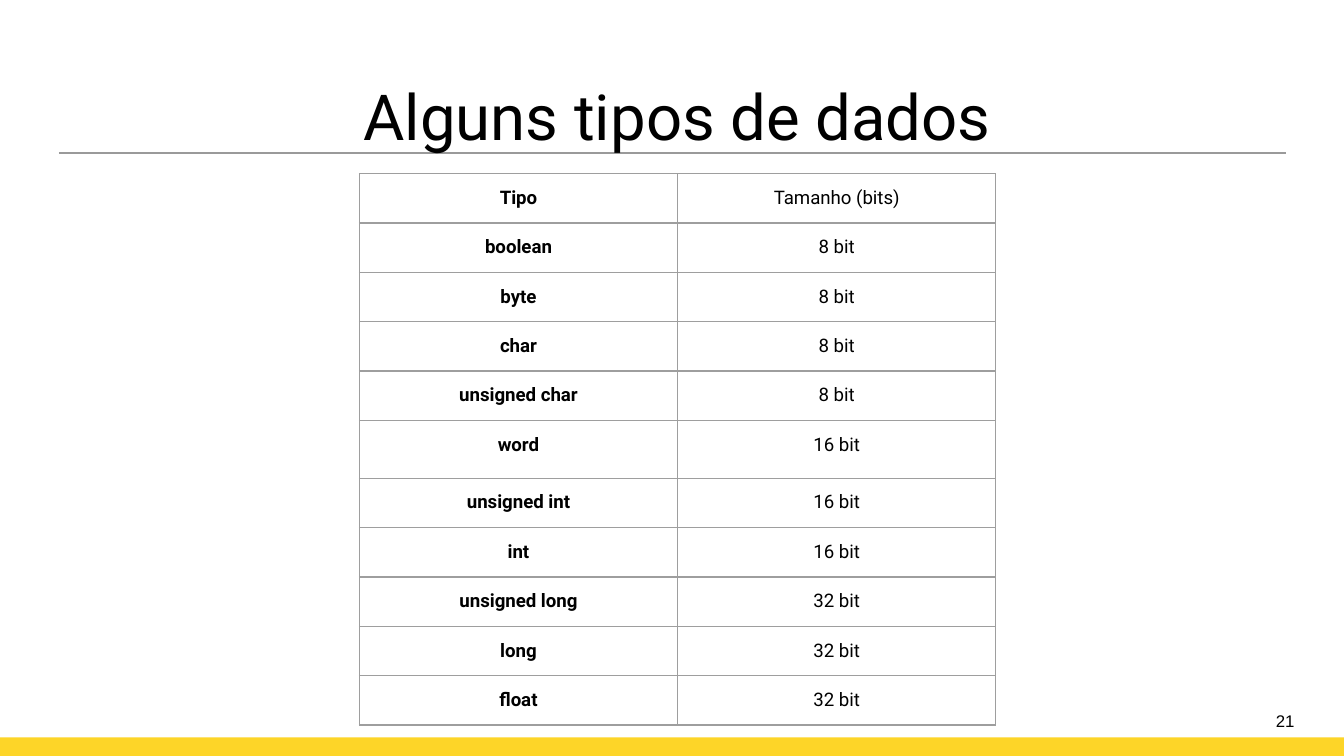
from lxml import etree
from pptx import Presentation
from pptx.dml.color import RGBColor
from pptx.enum.shapes import MSO_CONNECTOR, MSO_SHAPE
from pptx.enum.text import MSO_ANCHOR, PP_ALIGN
from pptx.oxml.ns import qn
from pptx.util import Pt

STRAIGHT = MSO_CONNECTOR.STRAIGHT
RECTANGLE = MSO_SHAPE.RECTANGLE
TOP, BOTTOM = MSO_ANCHOR.TOP, MSO_ANCHOR.BOTTOM
CENTER, RIGHT = PP_ALIGN.CENTER, PP_ALIGN.RIGHT

BLACK = RGBColor(0x00, 0x00, 0x00)
YELLOW = RGBColor(0xFD, 0xD5, 0x28)
RULE_GRAY = RGBColor(0x9A, 0x9A, 0x9A)
BORDER_GRAY = RGBColor(0x9E, 0x9E, 0x9E)

SLIDE_WIDTH, SLIDE_HEIGHT = 720, 405
ROW_HEIGHT, TALL_ROW_HEIGHT = 26, 31
TALL_TYPE = "word"
COLUMN_WIDTH = 170.5
CELL_MARGIN = 7.2
BORDER_WIDTH = 0.75

DATA_TYPES = [
    ("Tipo", "Tamanho (bits)"),
    ("boolean", "8 bit"),
    ("byte", "8 bit"),
    ("char", "8 bit"),
    ("unsigned char", "8 bit"),
    ("word", "16 bit"),
    ("unsigned int", "16 bit"),
    ("int", "16 bit"),
    ("unsigned long", "32 bit"),
    ("long", "32 bit"),
    ("float", "32 bit"),
]


def write(paragraph, text, font_name, size, align, bold=False):
    paragraph.alignment = align
    run = paragraph.add_run()
    run.text = text
    run.font.name = font_name
    run.font.size = Pt(size)
    run.font.bold = bold
    run.font.color.rgb = BLACK


def set_margins(holder, left, top, right, bottom):
    holder.margin_left, holder.margin_top = Pt(left), Pt(top)
    holder.margin_right, holder.margin_bottom = Pt(right), Pt(bottom)


def add_label(slide, box, margins, anchor, text, font_name, size, align):
    frame = slide.shapes.add_textbox(*map(Pt, box)).text_frame
    frame.word_wrap = True
    frame.vertical_anchor = anchor
    set_margins(frame, *margins)
    write(frame.paragraphs[0], text, font_name, size, align)


def add_rule(slide, left, right, y):
    rule = slide.shapes.add_connector(STRAIGHT, Pt(left), Pt(y), Pt(right), Pt(y))
    rule.line.color.rgb = RULE_GRAY
    rule.line.width = Pt(1)
    etree.SubElement(rule._element.spPr, qn("a:effectLst"))


def add_band(slide, top):
    band = slide.shapes.add_shape(
        RECTANGLE, 0, Pt(top), Pt(SLIDE_WIDTH), Pt(SLIDE_HEIGHT - top))
    band.shadow.inherit = False
    band.fill.solid()
    band.fill.fore_color.rgb = YELLOW
    band.line.fill.background()


def set_borders(cell):
    properties = cell._tc.get_or_add_tcPr()
    for side in ("a:lnL", "a:lnR", "a:lnT", "a:lnB"):
        border = etree.SubElement(properties, qn(side), w=str(Pt(BORDER_WIDTH)))
        fill = etree.SubElement(border, qn("a:solidFill"))
        etree.SubElement(fill, qn("a:srgbClr"), val=str(BORDER_GRAY))


def add_type_table(slide, left, top):
    heights = [TALL_ROW_HEIGHT if name == TALL_TYPE else ROW_HEIGHT
               for name, _ in DATA_TYPES]
    table = slide.shapes.add_table(
        len(DATA_TYPES), 2, Pt(left), Pt(top),
        Pt(2 * COLUMN_WIDTH), Pt(sum(heights))).table
    table.first_row = False
    table.horz_banding = False
    for column in table.columns:
        column.width = Pt(COLUMN_WIDTH)
    for row, height, texts in zip(table.rows, heights, DATA_TYPES):
        row.height = Pt(height)
        for index, (cell, text) in enumerate(zip(row.cells, texts)):
            set_margins(cell, *[CELL_MARGIN] * 4)
            set_borders(cell)
            cell.fill.background()
            write(cell.text_frame.paragraphs[0], text, "Roboto", 10, CENTER,
                  bold=index == 0)


def main():
    presentation = Presentation()
    presentation.slide_width = Pt(SLIDE_WIDTH)
    presentation.slide_height = Pt(SLIDE_HEIGHT)
    slide = presentation.slides.add_slide(presentation.slide_layouts[6])

    add_rule(slide, 31.5, 689, 82)
    add_band(slide, 395)
    add_label(slide, (679, 382.5, 17.5, 12), (3, 3, 3, 3), BOTTOM,
              "21", "Arial", 9, RIGHT)
    add_label(slide, (46.5, 31, 632.5, 34.5), (7.2, 10, 7.2, 7.2), TOP,
              "Alguns tipos de dados", "Roboto", 34, CENTER)
    add_type_table(slide, 192.5, 93)

    presentation.save("out.pptx")


if __name__ == "__main__":
    main()
